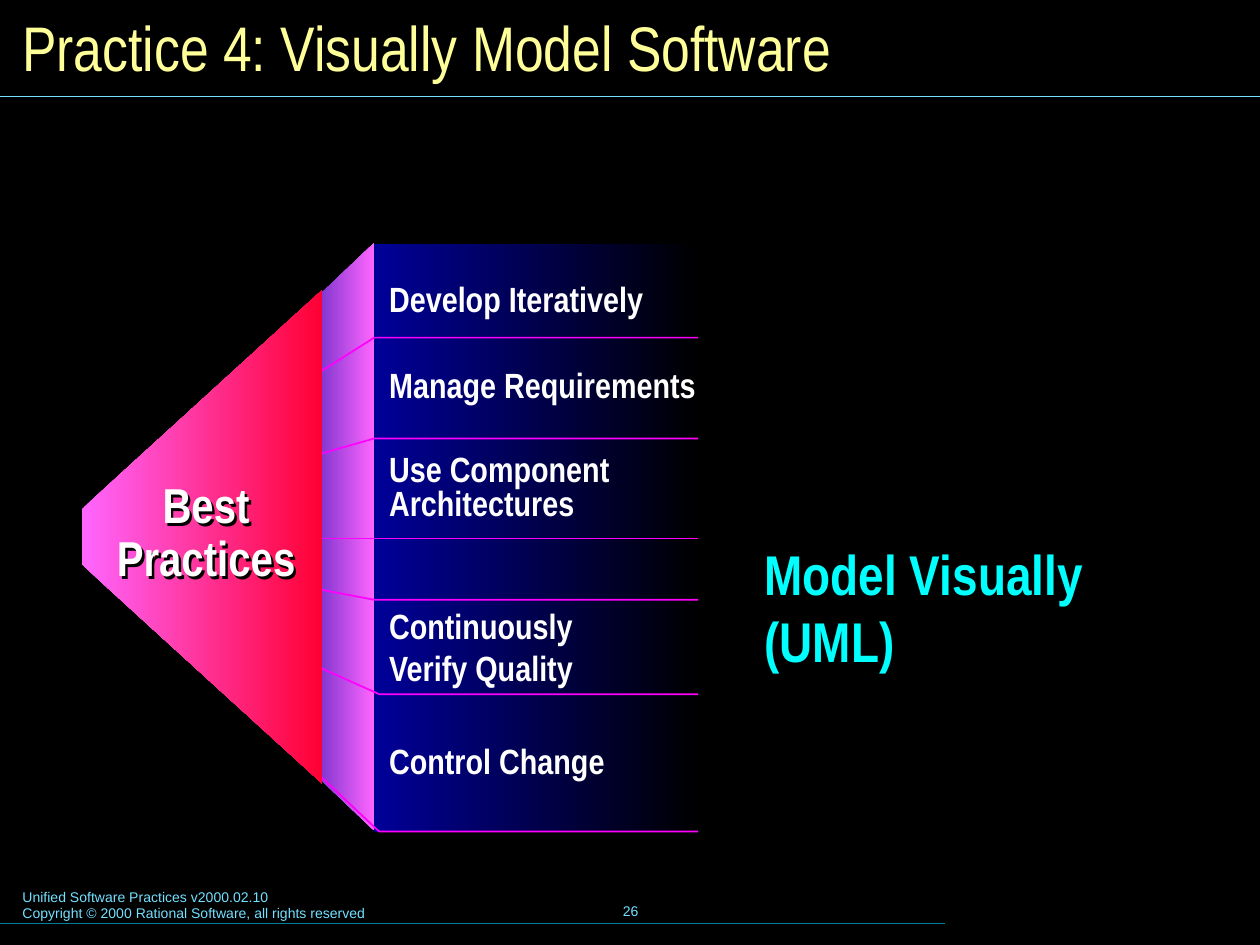
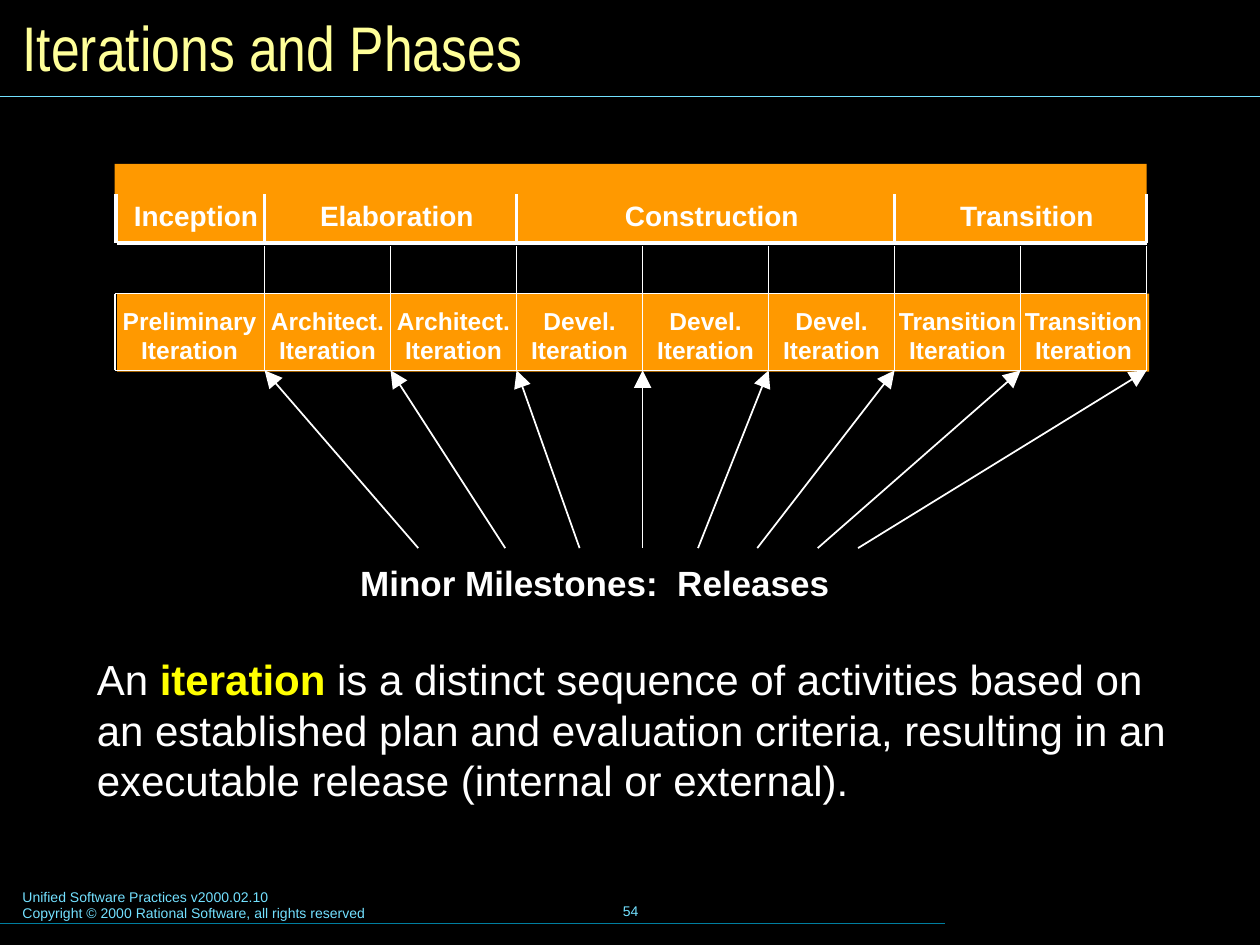
from dataclasses import dataclass

from lxml.etree import SubElement
from pptx import Presentation
from pptx.dml.color import RGBColor
from pptx.enum.shapes import MSO_CONNECTOR, MSO_SHAPE
from pptx.enum.text import MSO_ANCHOR as Anchor, PP_ALIGN as Align
from pptx.oxml.ns import qn
from pptx.util import Emu, Inches, Pt

CELL = Inches(0.1)
COLUMNS, ROWS = 100, 75
SANS, NARROW = "Arial", "Arial Narrow"
COLORS = {
    "black": "000000",
    "white": "FFFFFF",
    "title": "FFFF99",
    "footer": "73E1FF",
    "footer_rule": "007E9F",
    "navy": "000099",
    "violet": "7733CC",
    "pink": "FF66FF",
    "red": "FF0033",
    "magenta": "FF00FF",
    "cyan": "00FFFF",
    "orange": "FF9900",
    "yellow": "FFFF00",
}


@dataclass(frozen=True)
class Box:
    left: float
    top: float
    width: float
    height: float

    def inner(self, left, top, width, height):
        return Box(self.left + left, self.top + top, width, height)

    def point(self, column, row):
        return cells(self.left + column), cells(self.top + row)

    def frame(self):
        return [cells(side) for side in (self.left, self.top, self.width, self.height)]


PAGE = Box(0, 0, COLUMNS, ROWS)


def cells(count):
    return Emu(round(count * CELL))


def color(name):
    return RGBColor.from_string(COLORS[name])


def write(slide, box, lines, size, font=SANS, ink="white", bold=False,
          align=Align.LEFT, anchor=Anchor.TOP, side_margin=1, spacing=None):
    shape = slide.shapes.add_textbox(*box.frame())
    text_frame = shape.text_frame
    text_frame.word_wrap = True
    text_frame.margin_left = text_frame.margin_right = cells(side_margin)
    text_frame.vertical_anchor = anchor
    text_frame.text = "\n".join(lines)
    for paragraph in text_frame.paragraphs:
        paragraph.alignment = align
        paragraph.line_spacing = spacing
        paragraph.font.name = font
        paragraph.font.size = Pt(size)
        paragraph.font.bold = bold
        paragraph.font.color.rgb = color(ink)
    return shape


def draw_line(slide, start, end, ink="white", width=1, arrow=False):
    connector = slide.shapes.add_connector(MSO_CONNECTOR.STRAIGHT, *start, *end)
    connector.line.color.rgb = color(ink)
    connector.line.width = Pt(width)
    if arrow:
        SubElement(connector.line._get_or_add_ln(), qn("a:tailEnd"),
                   type="triangle", w="lg", len="lg")
    SubElement(connector._element.spPr, qn("a:effectLst"))


def draw_outline(slide, points, closed):
    builder = slide.shapes.build_freeform(*points[0])
    builder.add_line_segments(points[1:], close=closed)
    shape = builder.convert_to_shape()
    shape.shadow.inherit = False
    return shape


def draw_rectangle(slide, box):
    shape = slide.shapes.add_shape(MSO_SHAPE.RECTANGLE, *box.frame())
    shape.shadow.inherit = False
    shape.line.fill.background()
    return shape


def blend(shape, left_ink, right_ink):
    shape.line.fill.background()
    shape.fill.gradient()
    shape.fill.gradient_angle = 0
    for stop, ink in zip(shape.fill.gradient_stops, (left_ink, right_ink)):
        stop.color.rgb = color(ink)


def cast_text_shadow(shape):
    effects = SubElement(shape._element.spPr, qn("a:effectLst"))
    shadow = SubElement(effects, qn("a:outerShdw"), dist="25400", dir="2700000")
    SubElement(shadow, qn("a:srgbClr"), val=COLORS["black"])


def add_base_slide(presentation, title, number):
    slide = presentation.slides.add_slide(presentation.slide_layouts[6])
    slide.background.fill.solid()
    slide.background.fill.fore_color.rgb = color("black")
    write(slide, PAGE.inner(0.8, 70, 51, 3.7),
          ["Unified Software Practices v2000.02.10",
           "Copyright © 2000 Rational Software, all rights reserved"], 8, ink="footer")
    write(slide, PAGE.inner(34.2, 69.8, 31.7, 5), [number], 8, ink="footer",
          align=Align.CENTER, anchor=Anchor.MIDDLE)
    draw_line(slide, PAGE.point(0, 73.3), PAGE.point(75, 73.3), "footer_rule", 0.75)
    draw_line(slide, PAGE.point(0, 7.64), PAGE.point(COLUMNS, 7.64), "footer", 0.75)
    write(slide, PAGE.inner(0.8, 0.8, 98.4, 5.8), [title], 36, NARROW, "title",
          anchor=Anchor.MIDDLE)
    return slide


def add_practice_wedge(slide, box):
    front, fold = 19.1, 23.2
    blend(draw_rectangle(slide, box.inner(fold, 0.1, box.width - fold, box.height - 0.1)),
          "navy", "black")

    side = [(fold, 46.6), (fold, 0), (front - 0.5, 4.35), (front - 0.5, 42.25)]
    blend(draw_outline(slide, [box.point(*corner) for corner in side], True),
          "violet", "pink")

    dividers = [(7.5, 11.5, 0, 1), (15.5, 17.3, 0, 1), (23.4, 23.4, 0, 0.25),
                (28.3, 27.1, 0, 1), (35.8, 32.8, 0.4, 1), (46.7, 40.4, 0.4, 1)]
    for fold_row, inner_row, shift, width in dividers:
        corners = [(box.width, fold_row), (fold + shift, fold_row), (16.9, inner_row)]
        divider = draw_outline(slide, [box.point(*corner) for corner in corners], False)
        divider.fill.background()
        divider.line.color.rgb = color("magenta")
        divider.line.width = Pt(width)

    practices = [
        (2.2, ["Develop Iteratively"], None),
        (9.7, ["Manage Requirements"], 0.8),
        (16.4, ["Use Component Architectures"], 0.8),
        (28.2, ["Continuously", "Verify Quality"], None),
        (38.9, ["Control Change"], None),
    ]
    for row, lines, spacing in practices:
        write(slide, box.inner(fold + 0.2, row, 28, 4.4), lines, 20, NARROW,
              bold=True, spacing=spacing)

    face = [(front, 42.9), (front, 3.7), (0, 21.1), (0, 25.5)]
    blend(draw_outline(slide, [box.point(*corner) for corner in face], True),
          "pink", "red")
    cast_text_shadow(write(slide, box.inner(1.8, 18.4, 16.1, 9.4), ["Best", "Practices"],
                           28, NARROW, bold=True, align=Align.CENTER,
                           anchor=Anchor.MIDDLE, side_margin=0, spacing=0.9))


def add_phase_timeline(slide, box, phases, iterations):
    edges = [0] + [11.9 + 10 * index for index in range(len(iterations))]
    band, phase_base, iteration_top = 6.2, 6.3, 10.3
    base = box.height
    for left, top in ((0.2, iteration_top), (0, 0)):
        rectangle = draw_rectangle(slide, box.inner(left, top, box.width, band))
        rectangle.fill.solid()
        rectangle.fill.fore_color.rgb = color("orange")

    for name, left, right in zip(iterations, edges, edges[1:]):
        write(slide, box.inner(left, 10.8, right - left, 5.6), [name, "Iteration"], 14,
              bold=True, align=Align.CENTER, side_margin=0)
        draw_line(slide, box.point(right, base), box.point(right, 6.5))
    for row in (iteration_top, base):
        draw_line(slide, box.point(0, row), box.point(box.width, row))
    draw_line(slide, box.point(0, iteration_top), box.point(0, base))

    draw_line(slide, box.point(0.2, phase_base), box.point(box.width, phase_base), width=2)
    draw_line(slide, box.point(0.1, phase_base), box.point(0.1, 2.4), width=2)
    first = 0
    for name, span in phases:
        left, right = edges[first], edges[first + span]
        write(slide, box.inner(left + 0.5, 2.3, right - left, 3.7), [name], 16,
              bold=True, align=Align.CENTER, side_margin=0)
        draw_line(slide, box.point(right, phase_base), box.point(right, 2.4), width=2)
        first += span
    return [box.point(edge, base) for edge in edges[1:]]


def add_milestones(slide, box, releases):
    starts = [5.6, 12.5, 18.4, 23.4, 27.8, 32.5, 37.3, 40.5]
    for start, release in zip(starts, releases):
        draw_line(slide, box.point(start, 0), release, arrow=True)
    write(slide, box.inner(0, 0.6, box.width, 4.4), ["Minor Milestones:  Releases"], 20,
          bold=True)


def add_definition(slide, box):
    paragraph = write(slide, box, ["An "], 24).text_frame.paragraphs[0]
    term = paragraph.add_run()
    term.text = "iteration"
    term.font.bold = True
    term.font.color.rgb = color("yellow")
    paragraph.add_run().text = (
        " is a distinct sequence of activities based on an established plan and "
        "evaluation criteria, resulting in an executable release (internal or external).")


def build_practice_slide(presentation):
    slide = add_base_slide(presentation, "Practice 4: Visually Model Software", "26")
    write(slide, PAGE.inner(59.7, 42.3, 35.3, 11.7), ["Model Visually (UML)"], 32, NARROW,
          "cyan", bold=True)
    add_practice_wedge(slide, PAGE.inner(6.5, 19.3, 48.9, 46.7))


def build_iterations_slide(presentation):
    slide = add_base_slide(presentation, "Iterations and Phases", "54")
    add_definition(slide, PAGE.inner(6.7, 51.4, 88.3, 13))
    phases = [("Inception", 1), ("Elaboration", 2), ("Construction", 3), ("Transition", 2)]
    iterations = (["Preliminary"] + ["Architect."] * 2 + ["Devel."] * 3
                  + ["Transition"] * 2)
    releases = add_phase_timeline(slide, PAGE.inner(9.1, 13, 81.9, 16.4), phases, iterations)
    add_milestones(slide, PAGE.inner(27.6, 43.5, 45, 5), releases)


def main():
    presentation = Presentation()
    presentation.slide_width = cells(COLUMNS)
    presentation.slide_height = cells(ROWS)
    build_practice_slide(presentation)
    build_iterations_slide(presentation)
    presentation.save("out.pptx")


if __name__ == "__main__":
    main()
